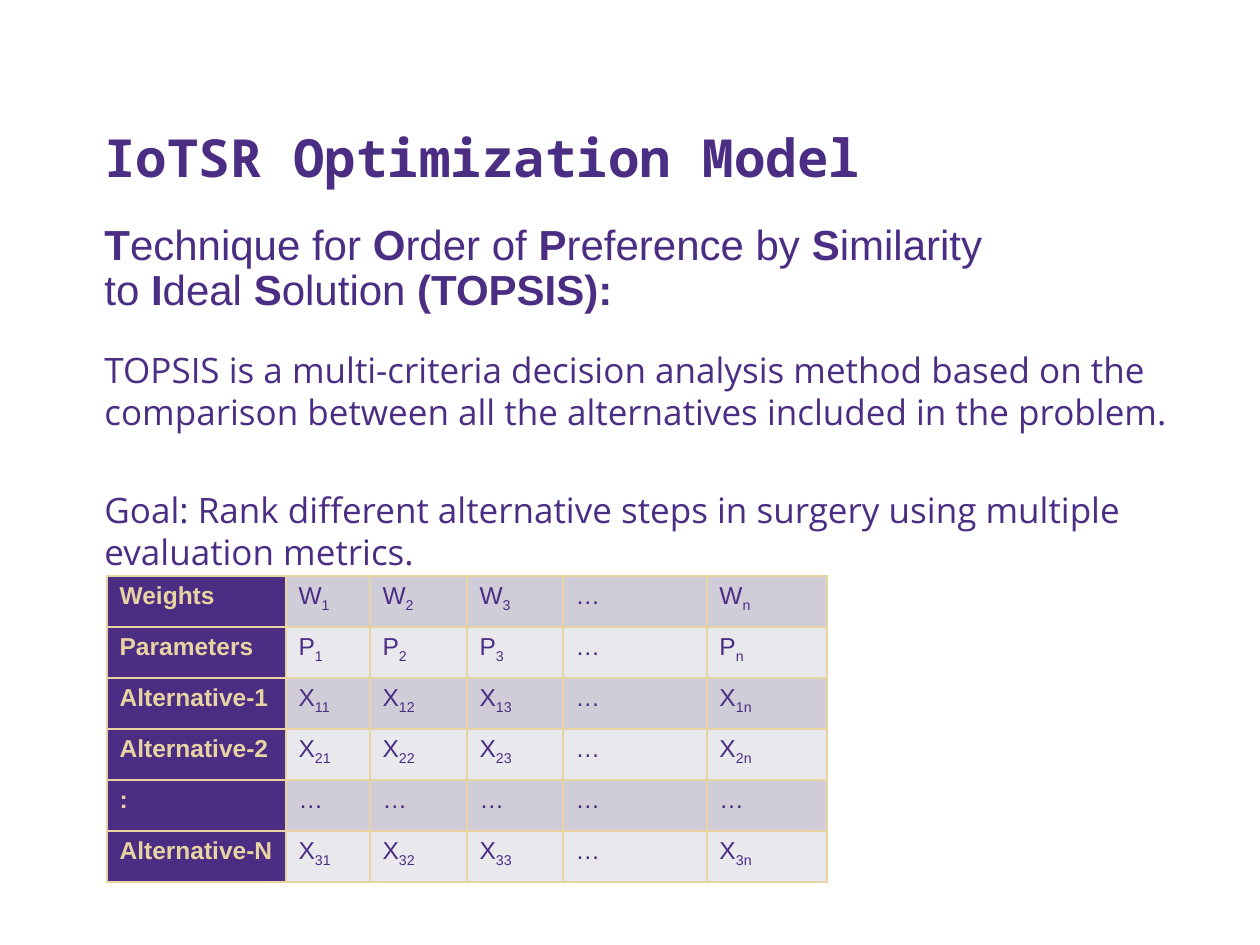
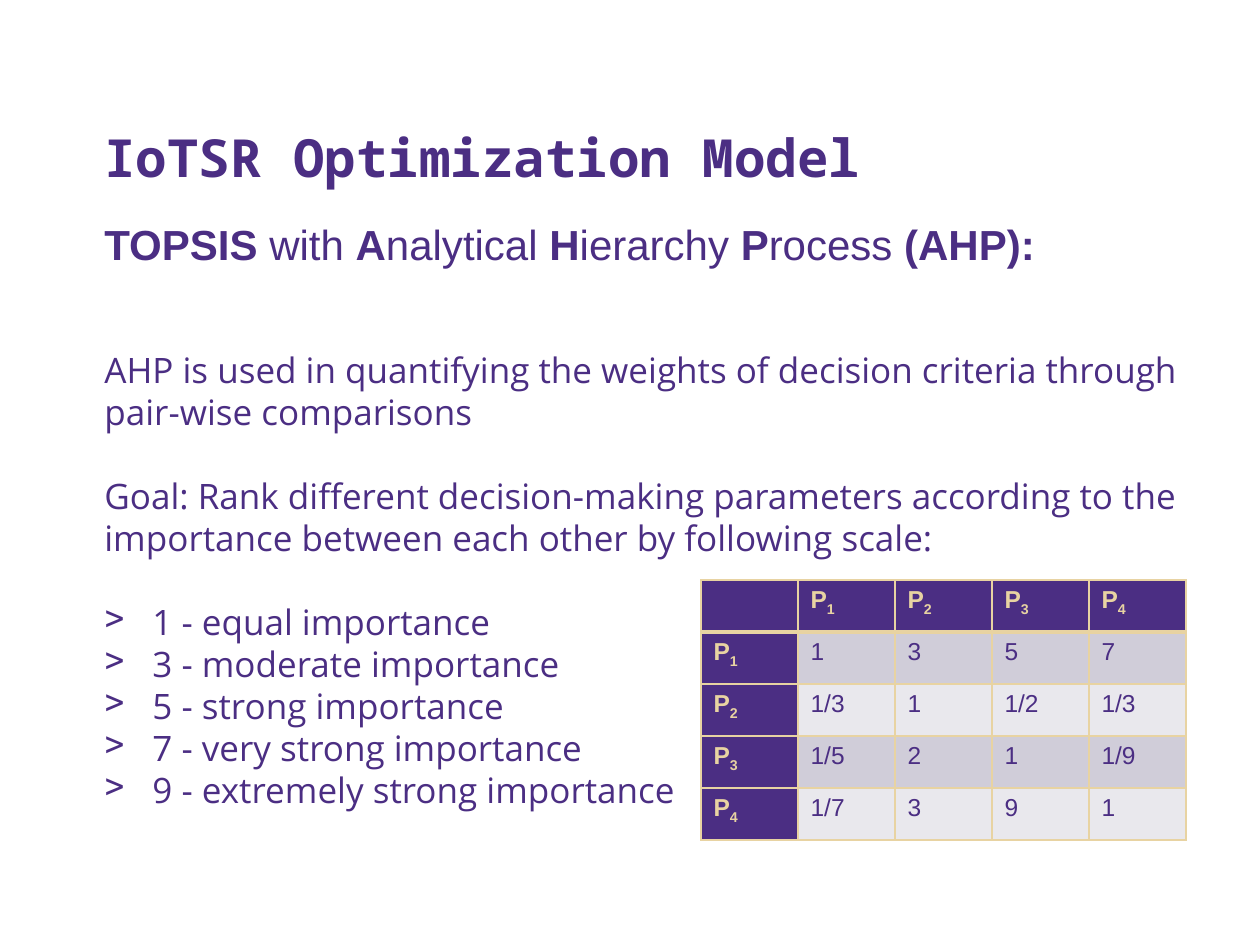
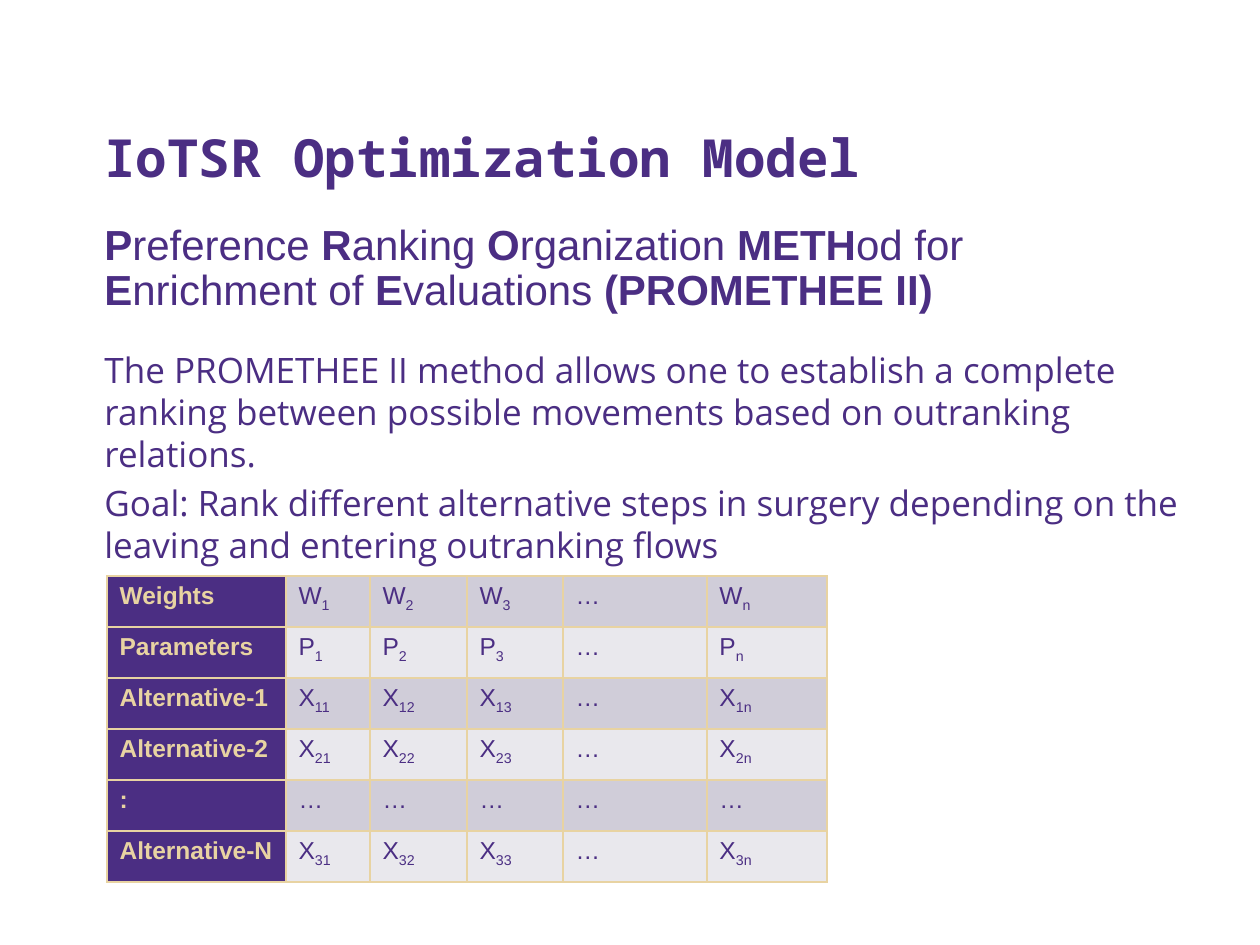
from dataclasses import dataclass

from lxml import etree
from pptx import Presentation
from pptx import util as u
from pptx.dml.color import RGBColor
from pptx.enum import text
from pptx.oxml import ns


@dataclass(frozen=True)
class Theme:
    purple: str = "4B2E83"
    gold: str = "E8D3A2"
    bands: tuple = ("D0CDD9", "E9E8ED")
    title_font: str = "Noto Sans Mono"
    heading_font: str = "Arial"
    body_font: str = "Open Sans"
    title_size: int = 30
    heading_size: int = 24
    body_size: int = 20
    cell_size: int = 14
    heading_pitch: int = 26
    body_pitch: int = 24


THEME = Theme()
TITLE_BOX = (92, 52, 1128, 136)
HEADING_BOX = (92, 217, 1148, 92)
BODY_BOX = (92, 339, 1129, 573)
TITLE = "IoTSR Optimization Model"

WEIGHT_COLUMNS = (179, 84, 97, 96, 144, 120)
SUFFIXES = ("1", "2", "3", "…", "n")


def series(label, letter, row=""):
    return [label] + [s if s == "…" else f"{letter}_{row}{s}" for s in SUFFIXES]


WEIGHT_ROWS = [
    series("Weights", "W"),
    series("Parameters", "P"),
    series("Alternative-1", "X", "1"),
    series("Alternative-2", "X", "2"),
    [":"] + ["…"] * len(SUFFIXES),
    series("Alternative-N", "X", "3"),
]
PAIRWISE_ROWS = [
    ["", "P_1", "P_2", "P_3", "P_4"],
    ["P_1", "1", "3", "5", "7"],
    ["P_2", "1/3", "1", "1/2", "1/3"],
    ["P_3", "1/5", "2", "1", "1/9"],
    ["P_4", "1/7", "3", "9", "1"],
]
IMPORTANCE_SCALE = [
    "1 - equal importance",
    "3 - moderate importance",
    "5 - strong importance",
    "7 - very strong importance",
    "9 - extremely strong importance",
]


def px(length):
    return u.Emu(round(length * 914400 / 126))


def style(paragraph, font_name, size, colour, pitch=None):
    paragraph.font.name = font_name
    paragraph.font.size = u.Pt(size)
    paragraph.font.color.rgb = RGBColor.from_string(colour)
    if pitch:
        paragraph.line_spacing = u.Pt(pitch)


def text_frame(slide, box):
    frame = slide.shapes.add_textbox(*map(px, box)).text_frame
    frame.word_wrap = True
    return frame


def paragraphs(frame, lines):
    for index, line in enumerate(lines):
        yield (frame.add_paragraph() if index else frame.paragraphs[0]), line


def add_title(slide, box):
    frame = text_frame(slide, box)
    frame.vertical_anchor = text.MSO_ANCHOR.BOTTOM
    frame.margin_bottom = 0
    title = frame.paragraphs[0]
    title.text = TITLE
    style(title, THEME.title_font, THEME.title_size, THEME.purple)
    title.font.bold = True


def add_heading(slide, box, lines):
    for paragraph, line in paragraphs(text_frame(slide, box), lines):
        style(paragraph, THEME.heading_font, THEME.heading_size, THEME.purple, THEME.heading_pitch)
        for index, part in enumerate(line.split("*")):
            if part:
                run = paragraph.add_run()
                run.text = part
                run.font.bold = index % 2 == 1


def add_marker(paragraph):
    properties = paragraph._p.get_or_add_pPr()
    properties.set("marL", str(px(48)))
    properties.set("indent", str(-px(48)))
    colour = etree.Element(ns.qn("a:buClr"))
    etree.SubElement(colour, ns.qn("a:srgbClr"), val=THEME.purple)
    marker = etree.Element(ns.qn("a:buChar"), char=">")
    defaults = properties.find(ns.qn("a:defRPr"))
    defaults.addprevious(colour)
    defaults.addprevious(marker)


def add_body(slide, box, statement, goal, goal_gap, scale=()):
    frame = text_frame(slide, box)
    frame.margin_top = px(9)
    gaps = {goal: goal_gap, **{item: THEME.body_pitch for item in scale[:1]}}
    for paragraph, line in paragraphs(frame, [statement, goal, *scale]):
        paragraph.text = line
        style(paragraph, THEME.body_font, THEME.body_size, THEME.purple, THEME.body_pitch)
        paragraph.space_before = u.Pt(gaps.get(line, 0))
        if line in scale:
            add_marker(paragraph)


def add_borders(cell, bottom_width):
    properties = cell._tc.get_or_add_tcPr()
    widths = {"lnL": 1, "lnR": 1, "lnT": 1, "lnB": bottom_width}
    for index, (side, width) in enumerate(widths.items()):
        line = etree.Element(ns.qn(f"a:{side}"), w=str(u.Pt(width)))
        fill = etree.SubElement(line, ns.qn("a:solidFill"))
        etree.SubElement(fill, ns.qn("a:srgbClr"), val=THEME.gold)
        properties.insert(index, line)


def fill_cell(cell, value, is_label, band):
    cell.fill.solid()
    cell.fill.fore_color.rgb = RGBColor.from_string(THEME.purple if is_label else band)
    paragraph = cell.text_frame.paragraphs[0]
    style(paragraph, THEME.heading_font, THEME.cell_size, THEME.gold if is_label else THEME.purple)
    paragraph.font.bold = is_label
    symbol, _, subscript = value.partition("_")
    if symbol:
        paragraph.add_run().text = symbol
    if subscript:
        run = paragraph.add_run()
        run.text = subscript
        run._r.get_or_add_rPr().set("baseline", "-25000")


def add_matrix(slide, left, top, widths, row_height, rows, has_header=False):
    box = (left, top, sum(widths), row_height * len(rows))
    matrix = slide.shapes.add_table(len(rows), len(widths), *map(px, box)).table
    matrix.first_row = has_header
    matrix.first_col = True
    matrix.horz_banding = False
    for column, width in zip(matrix.columns, widths):
        column.width = px(width)
    for r, values in enumerate(rows):
        matrix.rows[r].height = px(row_height)
        is_header = has_header and r == 0
        band = THEME.bands[(r - has_header) % 2]
        for c, value in enumerate(values):
            cell = matrix.cell(r, c)
            fill_cell(cell, value, is_header or c == 0, band)
            add_borders(cell, 3 if is_header else 1)


def add_method_slide(deck, heading, **body):
    slide = deck.slides.add_slide(deck.slide_layouts[6])
    add_body(slide, BODY_BOX, **body)
    add_heading(slide, HEADING_BOX, heading)
    add_title(slide, TITLE_BOX)
    return slide


def add_weights(slide):
    add_matrix(slide, 107, 576, WEIGHT_COLUMNS, 51, WEIGHT_ROWS)


def main():
    deck = Presentation()
    deck.slide_width, deck.slide_height = px(1260), px(945)

    topsis = add_method_slide(
        deck,
        ["*T*echnique for *O*rder of *P*reference by *S*imilarity",
         "to *I*deal *S*olution *(TOPSIS):*"],
        statement="TOPSIS is a multi-criteria decision analysis method based on the "
                  "comparison between all the alternatives included in the problem.",
        goal="Goal: Rank different alternative steps in surgery using multiple evaluation metrics.",
        goal_gap=32,
    )
    add_weights(topsis)

    ahp = add_method_slide(
        deck,
        ["*TOPSIS* with *A*nalytical *H*ierarchy *P*rocess *(AHP):*"],
        statement="AHP is used in quantifying the weights of decision criteria through "
                  "pair-wise comparisons",
        goal="Goal: Rank different decision-making parameters according to the importance "
             "between each other by following scale:",
        goal_gap=THEME.body_pitch,
        scale=IMPORTANCE_SCALE,
    )
    add_matrix(ahp, 701, 580, (97,) * 5, 52, PAIRWISE_ROWS, has_header=True)

    promethee = add_method_slide(
        deck,
        ["*P*reference *R*anking *O*rganization *METH*od for",
         "*E*nrichment of *E*valuations *(PROMETHEE II)*"],
        statement="The PROMETHEE II method allows one to establish a complete ranking "
                  "between possible movements based on outranking relations.",
        goal="Goal: Rank different alternative steps in surgery depending on the leaving "
             "and entering outranking flows",
        goal_gap=4,
    )
    add_weights(promethee)

    deck.save("out.pptx")


if __name__ == "__main__":
    main()
